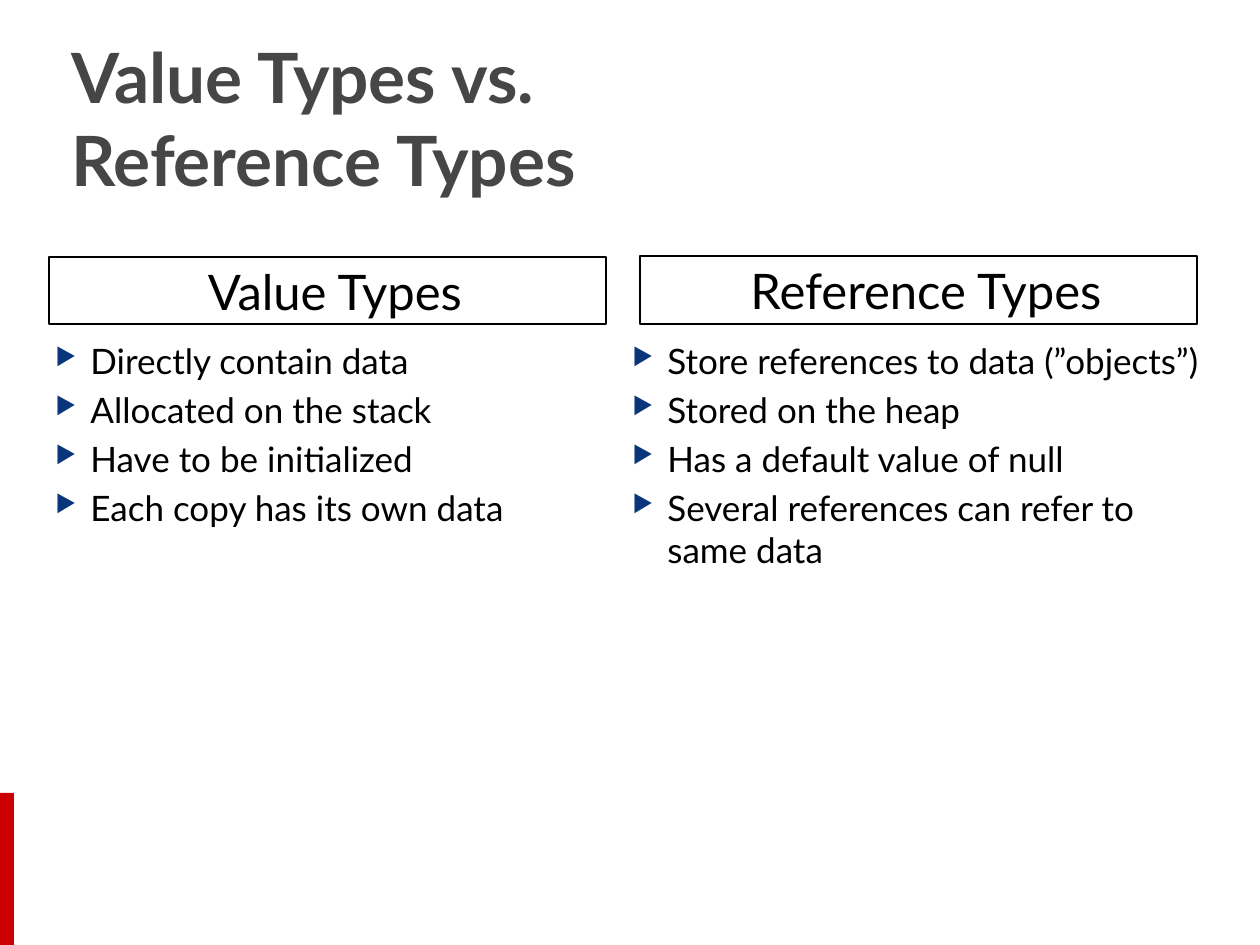
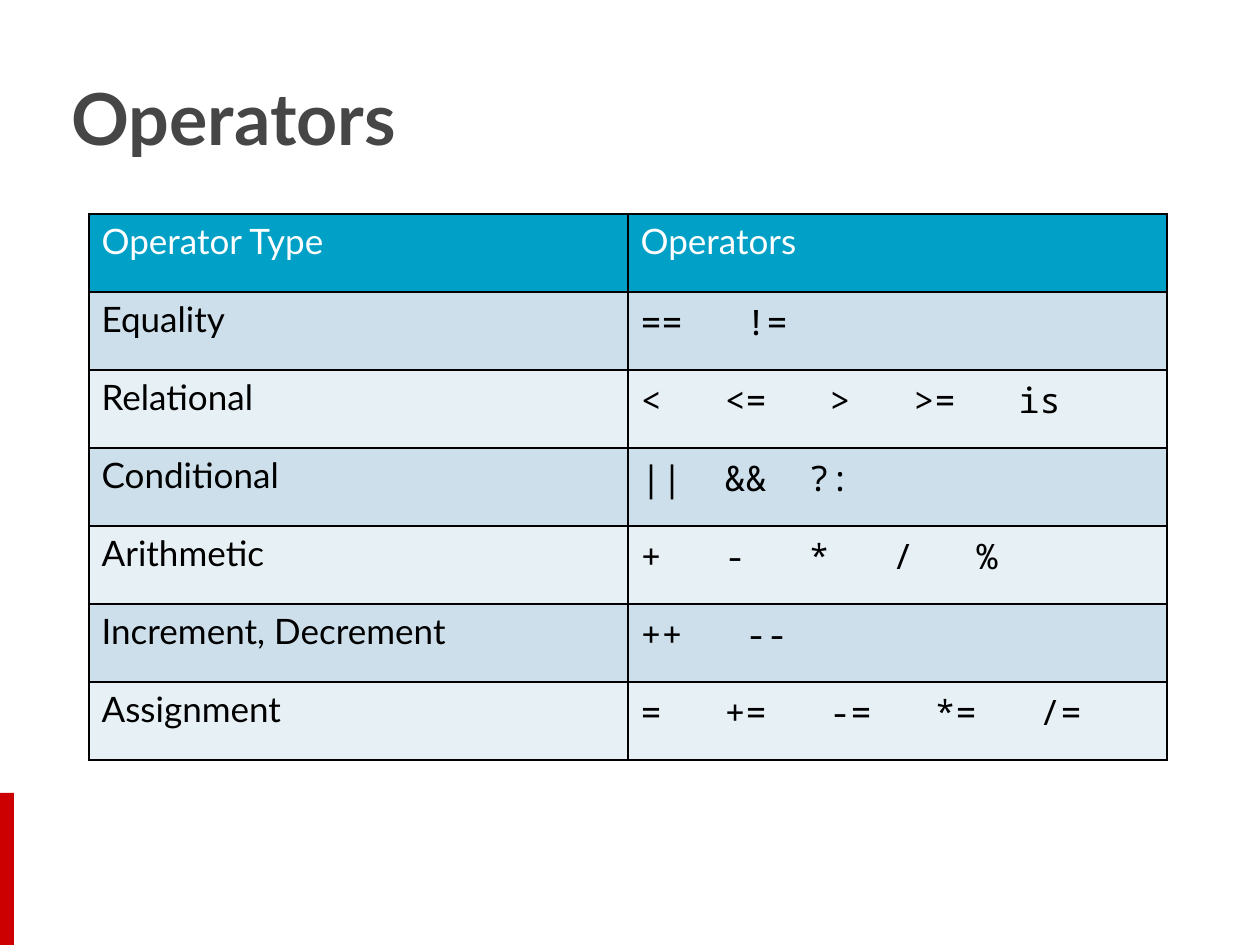
"""Build two slides on value and reference types and on operators."""
from lxml import etree
from pptx import Presentation
from pptx.dml.color import RGBColor
from pptx.enum.shapes import MSO_SHAPE
from pptx.enum.text import MSO_ANCHOR, PP_ALIGN
from pptx.oxml.ns import qn
from pptx.util import Pt

RECTANGLE = MSO_SHAPE.RECTANGLE
MIDDLE = MSO_ANCHOR.MIDDLE
CENTER = PP_ALIGN.CENTER

BLACK = RGBColor(0, 0, 0)
WHITE = RGBColor(0xFF, 0xFF, 0xFF)
TITLE_GRAY = RGBColor(0x46, 0x46, 0x46)
BAND_RED = RGBColor(0xCC, 0, 0)
BULLET_BLUE = RGBColor(0x09, 0x36, 0x7A)
HEADER_TEAL = RGBColor(0x01, 0xA0, 0xC7)
ROW_FILLS = [RGBColor(0xE7, 0xF0, 0xF5), RGBColor(0xCC, 0xDF, 0xEB)]

PX = 914400 / 126
TITLE = {"name": "Lato", "size": Pt(41), "bold": True, "color": TITLE_GRAY}
LONG_TITLE = TITLE | {"size": Pt(39.6)}
HEADING = {"name": "Lato", "size": Pt(28), "color": BLACK}
BODY = {"name": "Lato", "size": Pt(20), "color": BLACK}
TABLE_HEADER = BODY | {"color": WHITE}
CODE = BODY | {"name": "Noto Sans Mono"}

deck = Presentation()
deck.slide_width, deck.slide_height = round(1260 * PX), round(945 * PX)


def write(para, text, font_format):
    span = para.add_run()
    span.text = text
    for name, value in font_format.items():
        if name == "color":
            span.font.color.rgb = value
        else:
            setattr(span.font, name, value)


def add_box(page, left, top, width, height):
    box = page.shapes.add_textbox(*[round(n * PX) for n in (left, top, width, height)])
    box.text_frame.word_wrap = True
    return box


pages = []
for title_lines, title_format in [
    (["Value Types vs.", "Reference Types"], LONG_TITLE),
    (["Operators"], TITLE),
]:
    page = deck.slides.add_slide(deck.slide_layouts[6])
    band = page.shapes.add_shape(RECTANGLE, 0, *[round(n * PX) for n in (793, 14, 152)])
    band.shadow.inherit = False
    band.fill.solid()
    band.fill.fore_color.rgb = BAND_RED
    band.line.fill.background()
    title_frame = add_box(page, 59, 38, 1138, 158).text_frame
    title_frame.vertical_anchor = MIDDLE
    for index, line in enumerate(title_lines):
        if index:
            title_frame.paragraphs[0].add_line_break()
        write(title_frame.paragraphs[0], line, title_format)
    pages.append(page)

types_page, operators_page = pages

TYPE_COLUMNS = [
    ("Value Types", (49, 257, 557, 67), (28, 333, 577, 546), [
        "Directly contain data",
        "Allocated on the stack",
        "Have to be initialized",
        "Each copy has its own data",
    ]),
    ("Reference Types", (640, 256, 557, 68), (605, 333, 620, 476), [
        "Store references to data (”objects”)",
        "Stored on the heap",
        "Has a default value of null",
        "Several references can refer to same data",
    ]),
]
for heading, heading_area, list_area, points in TYPE_COLUMNS:
    heading_box = add_box(types_page, *heading_area)
    heading_box.line.color.rgb = BLACK
    heading_box.line.width = Pt(0.75)
    heading_box.text_frame.vertical_anchor = MIDDLE
    para = heading_box.text_frame.paragraphs[0]
    para.alignment = CENTER
    para.space_before = Pt(4)
    para._p.get_or_add_pPr().set("marL", str(round(15 * PX)))
    write(para, heading, HEADING)

    list_frame = add_box(types_page, *list_area).text_frame
    for index, point in enumerate(points):
        para = list_frame.add_paragraph() if index else list_frame.paragraphs[0]
        para.space_before = Pt(4)
        properties = para._p.get_or_add_pPr()
        properties.set("marL", str(round(50 * PX)))
        properties.set("indent", str(round(-35 * PX)))
        bullet_color = etree.SubElement(properties, qn("a:buClr"))
        etree.SubElement(bullet_color, qn("a:srgbClr"), val=str(BULLET_BLUE))
        etree.SubElement(properties, qn("a:buSzPct"), val="68000")
        etree.SubElement(properties, qn("a:buChar"), char="▶")
        write(para, point, BODY)

CHARACTER_WIDTH = 21
OPERATOR_ROWS = [
    ("Equality", "== !=", 3),
    ("Relational", "< <= > >= is", 3),
    ("Conditional", "|| && ?:", 2),
    ("Arithmetic", "+ - * / %", 3),
    ("Increment, Decrement", "++ --", 3),
    ("Assignment", "= += -= *= /=", 3),
]
table = operators_page.shapes.add_table(
    len(OPERATOR_ROWS) + 1, 2, *[round(n * PX) for n in (89, 214, 1078, 546)]
).table
table.first_row = table.horz_banding = False
for column in table.columns:
    column.width = round(539 * PX)
for row in table.rows:
    row.height = round(78 * PX)

for column, header in enumerate(["Operator Type", "Operators"]):
    write(table.cell(0, column).text_frame.paragraphs[0], header, TABLE_HEADER)

for row, (kind, operators, gap) in enumerate(OPERATOR_ROWS, start=1):
    write(table.cell(row, 0).text_frame.paragraphs[0], kind, BODY)
    para = table.cell(row, 1).text_frame.paragraphs[0]
    symbols = operators.split()
    tab_stops = etree.SubElement(para._p.get_or_add_pPr(), qn("a:tabLst"))
    position = 0
    for symbol in symbols[:-1]:
        position += (len(symbol) + gap) * CHARACTER_WIDTH
        etree.SubElement(tab_stops, qn("a:tab"), pos=str(round(position * PX)), algn="l")
    write(para, "\t".join(symbols), CODE)

for index, cell in enumerate(table.iter_cells()):
    row = index // 2
    properties = cell._tc.get_or_add_tcPr()
    for side in ("lnL", "lnR", "lnT", "lnB"):
        border = etree.SubElement(properties, qn(f"a:{side}"), w=str(Pt(1)))
        border_fill = etree.SubElement(border, qn("a:solidFill"))
        etree.SubElement(border_fill, qn("a:srgbClr"), val=str(BLACK))
    cell.fill.solid()
    cell.fill.fore_color.rgb = ROW_FILLS[row % 2] if row else HEADER_TEAL

deck.save("out.pptx")
